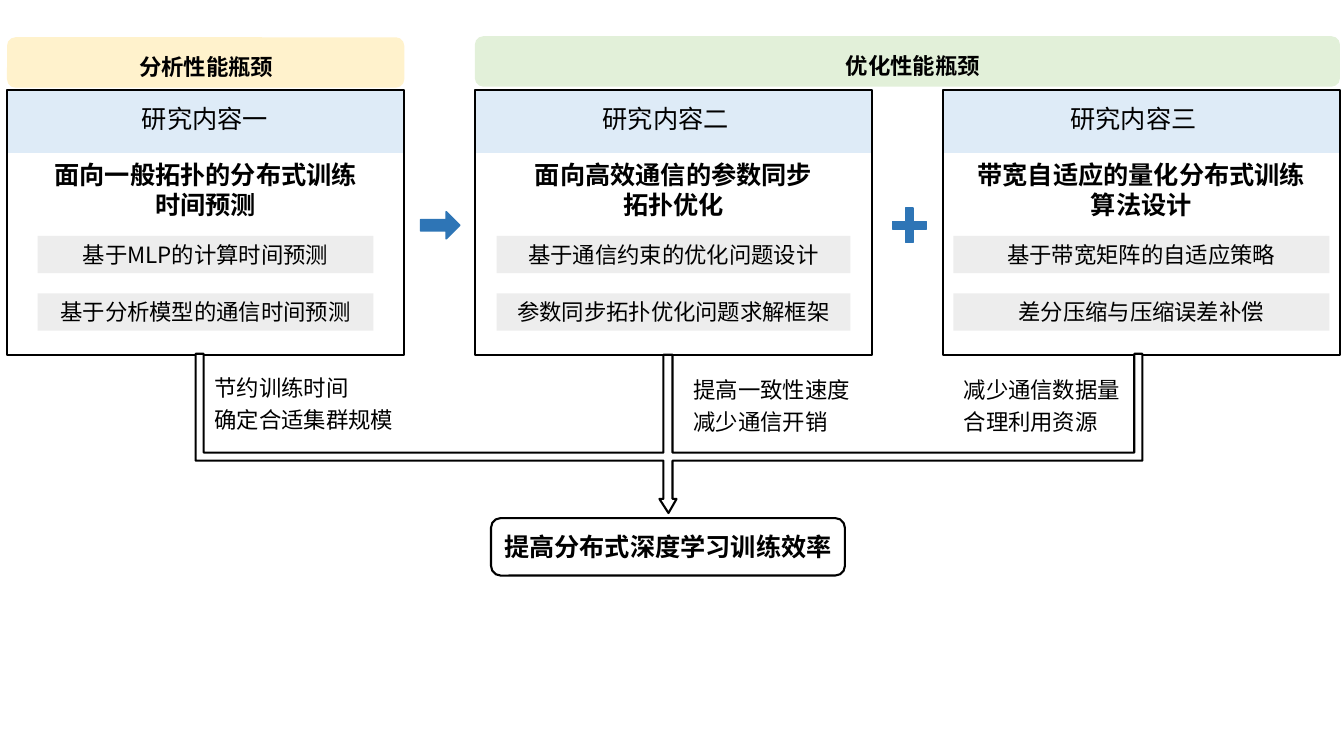
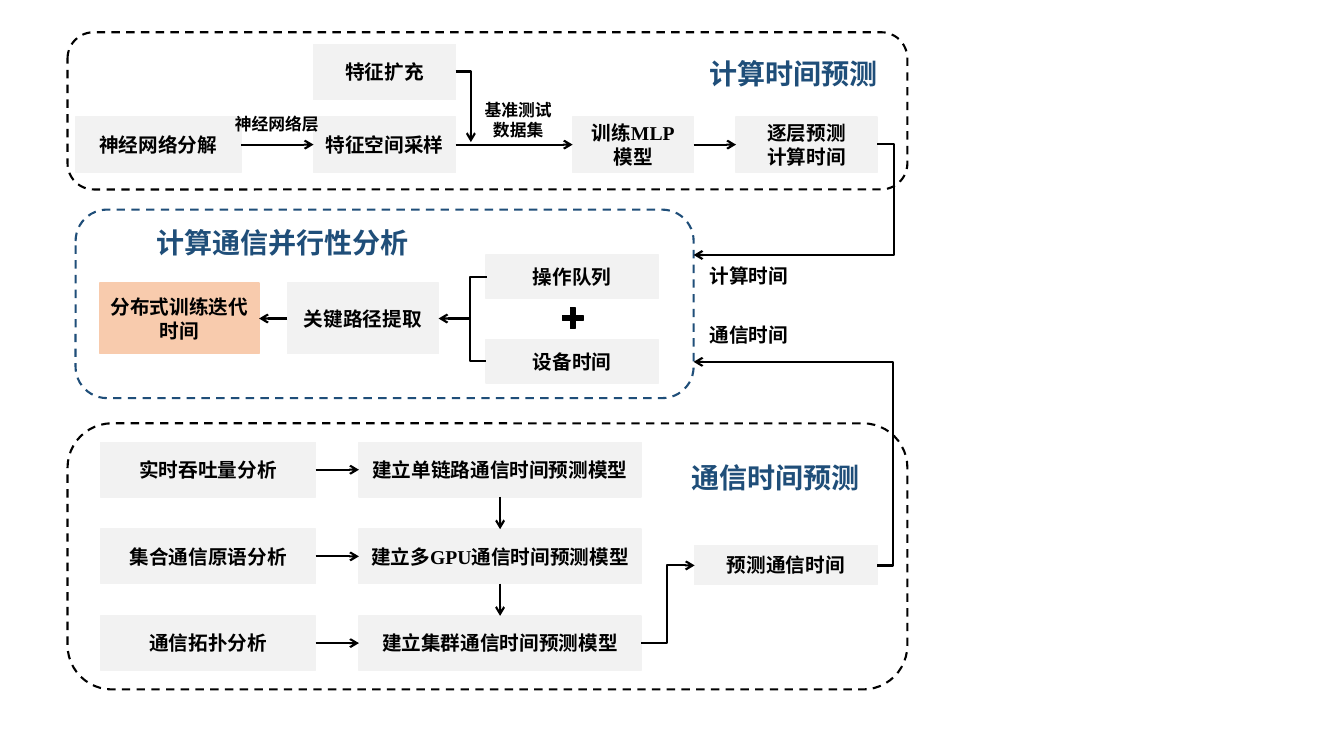
from lxml import etree
from pptx import Presentation
from pptx.dml.color import RGBColor
from pptx.enum.dml import MSO_LINE
from pptx.enum.shapes import MSO_CONNECTOR as CONN, MSO_SHAPE as SHAPE
from pptx.enum.text import MSO_ANCHOR as ANCHOR, MSO_AUTO_SIZE as AUTO, PP_ALIGN as ALIGN
from pptx.oxml.ns import qn
from pptx.util import Inches, Pt

SANS, SERIF = "Noto Sans CJK SC", "Times New Roman"
BLACK, WHITE, NAVY, BLUE = "000000", "FFFFFF", "1F4E79", "2E75B6"
PALE_BLUE, GREY, LIGHT, PEACH = "DEEBF7", "EDEDED", "F2F2F2", "F8CBAD"
TOP, LEFT, BOTTOM, RIGHT = range(4)


def rgb(value):
    """Turn a hex string into a colour."""
    return RGBColor.from_string(value)


def paint(sp, fill=None, line=None, width=1.5, dash=False):
    """Set fill and outline of a shape, without a shadow."""
    sp.shadow.inherit = False
    if fill:
        sp.fill.solid()
        sp.fill.fore_color.rgb = rgb(fill)
    else:
        sp.fill.background()
    if line:
        sp.line.color.rgb = rgb(line)
        sp.line.width = Pt(width)
        if dash:
            sp.line.dash_style = MSO_LINE.DASH
    else:
        sp.line.fill.background()


def write(sp, text, size, font, bold=False, color=BLACK, align=ALIGN.CENTER,
          spacing=None, anchor=ANCHOR.TOP, wrap=True):
    """Write one paragraph per line of text into a shape."""
    tf = sp.text_frame
    tf.word_wrap = wrap
    tf.vertical_anchor = anchor
    for i, line in enumerate(text.split("\n")):
        p = tf.add_paragraph() if i else tf.paragraphs[0]
        p.text = line
        p.alignment = align
        if spacing:
            p.line_spacing = spacing
        p.font.name = font
        p.font.size = Pt(size)
        p.font.bold = bold
        p.font.color.rgb = rgb(color)


def shape(s, kind, box, fill=None, line=None, width=1.5, dash=False):
    """Add a preset shape in a box of left, top, width and height."""
    sp = s.shapes.add_shape(kind, *map(Inches, box))
    paint(sp, fill, line, width, dash)
    return sp


def label(s, box, text, size, font, **style):
    """Add a text box that grows with its text."""
    sp = s.shapes.add_textbox(*map(Inches, box))
    write(sp, text, size, font, **style)
    sp.text_frame.auto_size = AUTO.SHAPE_TO_FIT_TEXT


def symbol(s, kind, box, color, *adjustments):
    """Add a small solid sign."""
    sp = shape(s, kind, box, color, color, 1)
    for i, value in enumerate(adjustments):
        sp.adjustments[i] = value


def connector(s, kind, start, end, arrow=True):
    """Add a black connector, with an arrowhead at its end if wanted."""
    c = s.shapes.add_connector(kind, *map(Inches, start + end))
    c.line.color.rgb = rgb(BLACK)
    c.line.width = Pt(1.5)
    if arrow:
        etree.SubElement(c.line._get_or_add_ln(), qn("a:tailEnd"), type="arrow")
    etree.SubElement(c._element.spPr, qn("a:effectLst"))
    return c


def link(s, a, side_a, b, side_b):
    """Join the sides of two boxes with a straight arrow."""
    c = connector(s, CONN.STRAIGHT, (0, 0), (1, 1))
    c.begin_connect(a, side_a)
    c.end_connect(b, side_b)


def elbow(s, start, end, turn=None, arrow=True):
    """Add a bent connector that turns at a given x, or has one corner."""
    c = connector(s, CONN.ELBOW, start, end, arrow)
    geom = c._element.spPr.find(qn("a:prstGeom"))
    if turn is None:
        geom.set("prst", "bentConnector2")
    else:
        ratio = (turn - start[0]) / (end[0] - start[0])
        guides = geom.find(qn("a:avLst"))
        etree.SubElement(guides, qn("a:gd"), name="adj1", fmla=f"val {round(ratio * 100000)}")


def banner(s, box, text, text_left, color):
    """Add a rounded stage heading."""
    shape(s, SHAPE.ROUNDED_RECTANGLE, box, color)
    label(s, (text_left, box[1] + 0.05, 1.55, 0.38), text, 16, SANS,
          bold=True, spacing=1.2, wrap=False)


def card(s, box, head, head_dx, title, title_w, items, item_w):
    """Add a research card with a heading strip, a title and two items."""
    x, y, w, h = box
    shape(s, SHAPE.RECTANGLE, (x, y, w, 0.62), PALE_BLUE, PALE_BLUE, 1)
    shape(s, SHAPE.RECTANGLE, box, line=BLACK)
    label(s, (x + head_dx, y + 0.09, 1.46, 0.4), head, 18, SANS, align=ALIGN.LEFT, wrap=False)
    label(s, (x + (w - title_w) / 2, y + 0.64, title_w, 0.71), title, 18, SANS, bold=True)
    for i, item in enumerate(items):
        sp = shape(s, SHAPE.RECTANGLE,
                   (x + (w - item_w) / 2, y + 1.45 + 0.57 * i, item_w, 0.37), GREY)
        write(sp, item, 16, SANS)


def merge_arrow(s):
    """Add the hollow arrow that gathers the three cards."""
    points = [(1.94, 3.51), (2.02, 3.51), (2.02, 4.49), (6.58, 4.49), (6.58, 3.52),
              (6.67, 3.52), (6.67, 4.49), (11.25, 4.49), (11.25, 3.51), (11.33, 3.51),
              (11.33, 4.57), (6.67, 4.57), (6.67, 4.95), (6.71, 4.95), (6.63, 5.09),
              (6.54, 4.95), (6.58, 4.95), (6.58, 4.57), (1.94, 4.57)]
    points = [(Inches(x), Inches(y)) for x, y in points]
    builder = s.shapes.build_freeform(*points[0])
    builder.add_line_segments(points[1:], close=True)
    paint(builder.convert_to_shape(), WHITE, BLACK)


def overview_slide(prs):
    """Build the slide with the three research topics."""
    s = prs.slides.add_slide(prs.slide_layouts[6])
    banner(s, (0.07, 0.37, 3.94, 0.5), "分析性能瓶颈", 1.27, "FFF2CC")
    banner(s, (4.71, 0.36, 8.58, 0.5), "优化性能瓶颈", 8.28, "E2F0D9")
    cards = [
        ("研究内容一", 1.24, "面向一般拓扑的分布式训练时间预测", 3.33,
         ("基于MLP的计算时间预测", "基于分析模型的通信时间预测"), 3.33),
        ("研究内容二", 1.17, "面向高效通信的参数同步拓扑优化", 3.17,
         ("基于通信约束的优化问题设计", "参数同步拓扑优化问题求解框架"), 3.51),
        ("研究内容三", 1.17, "带宽自适应的量化分布式训练\n算法设计", 3.94,
         ("基于带宽矩阵的自适应策略", "差分压缩与压缩误差补偿"), 3.73),
    ]
    for i, content in enumerate(cards):
        card(s, (0.07 + 4.64 * i, 0.89, 3.94, 2.63), *content)
    symbol(s, SHAPE.RIGHT_ARROW, (4.17, 2.1, 0.39, 0.27), BLUE, 0.42, 0.5)
    symbol(s, SHAPE.MATH_PLUS, (8.79, 2, 0.46, 0.47), BLUE, 0.16)
    merge_arrow(s)
    for x, y, w, text in [(2.03, 3.61, 2, "节约训练时间\n确定合适集群规模"),
                          (6.78, 3.63, 1.77, "提高一致性速度\n减少通信开销"),
                          (9.46, 3.63, 1.77, "减少通信数据量\n合理利用资源")]:
        label(s, (x, y, w, 0.7), text, 16, SANS, align=ALIGN.LEFT, spacing=1.2, wrap=False)
    goal = shape(s, SHAPE.ROUNDED_RECTANGLE, (4.87, 5.14, 3.51, 0.57), line=BLACK)
    write(goal, "提高分布式深度学习训练效率", 18, SANS, bold=True, anchor=ANCHOR.MIDDLE, wrap=False)


def panel(s, box, title, title_box, color=BLACK):
    """Add a dashed panel with its title."""
    shape(s, SHAPE.ROUNDED_RECTANGLE, box, line=color, dash=True)
    label(s, title_box, title, 20, SERIF, bold=True, color=NAVY)


def step(s, box, text, color=LIGHT):
    """Add a filled process box."""
    sp = shape(s, SHAPE.RECTANGLE, box, color, color, 1)
    write(sp, text, 14, SERIF, bold=True, anchor=ANCHOR.MIDDLE)
    return sp


def compute_panel(s, x, y):
    """Add the panel that predicts computing time."""
    panel(s, (x, y, 8.33, 1.56), "计算时间预测", (x + 6.07, y + 0.19, 2.26, 0.44))
    row = [(0.08, 1.64, "神经网络分解"), (2.44, 1.41, "特征空间采样"),
           (5.01, 1.2, "训练MLP模型"), (6.63, 1.4, "逐层预测\n计算时间")]
    steps = [step(s, (x + dx, y + 0.84, w, 0.55), text) for dx, w, text in row]
    for a, b in zip(steps, steps[1:]):
        link(s, a, RIGHT, b, LEFT)
    step(s, (x + 2.44, y + 0.12, 1.41, 0.55), "特征扩充")
    elbow(s, (x + 3.85, y + 0.39), (x + 4, y + 1.09))
    label(s, (x + 1.53, y + 0.76, 1.09, 0.3), "神经网络层", 12, SERIF, bold=True)
    label(s, (x + 3.99, y + 0.62, 0.96, 0.5), "基准测试数据集", 12, SERIF, bold=True)


def parallel_panel(s, x, y):
    """Add the panel that analyses parallelism."""
    panel(s, (x, y, 6.13, 1.87), "计算通信并行性分析", (x - 0.06, y + 0.11, 4.23, 0.44), NAVY)
    result = step(s, (x + 0.24, y + 0.73, 1.58, 0.7), "分布式训练迭代时间", PEACH)
    key_path = step(s, (x + 2.1, y + 0.73, 1.5, 0.7), "关键路径提取")
    link(s, key_path, LEFT, result, RIGHT)
    for dy, text in [(0.45, "操作队列"), (1.29, "设备时间")]:
        step(s, (x + 4.07, y + dy, 1.71, 0.43), text)
    symbol(s, SHAPE.MATH_PLUS, (x + 4.79, y + 0.93, 0.28, 0.29), BLACK, 0.16)
    elbow(s, (x + 4.08, y + 0.67), (x + 4.07, y + 1.5), x + 3.91, arrow=False)
    c = connector(s, CONN.STRAIGHT, (x + 3.9, y + 1.08), (x + 3.6, y + 1.08))
    c.end_connect(key_path, RIGHT)


def traffic_panel(s, x, y):
    """Add the panel that predicts communication time."""
    panel(s, (x, y, 8.33, 2.64), "通信时间预测", (x + 5.76, y + 0.32, 2.53, 0.44))
    rows = [("实时吞吐量分析", "建立单链路通信时间预测模型"),
            ("集合通信原语分析", "建立多GPU通信时间预测模型"),
            ("通信拓扑分析", "建立集群通信时间预测模型")]
    models = []
    for i, (analysis, model) in enumerate(rows):
        top = y + 0.19 + 0.86 * i
        source = step(s, (x + 0.33, top, 2.13, 0.54), analysis)
        models.append(step(s, (x + 2.89, top, 2.8, 0.54), model))
        link(s, source, RIGHT, models[i], LEFT)
    for a, b in zip(models, models[1:]):
        link(s, a, BOTTOM, b, TOP)
    step(s, (x + 6.22, y + 1.21, 1.81, 0.39), "预测通信时间")
    elbow(s, (x + 5.69, y + 2.18), (x + 6.22, y + 1.41), x + 5.95)


def method_slide(prs):
    """Build the slide with the prediction workflow."""
    s = prs.slides.add_slide(prs.slide_layouts[6])
    compute_panel(s, 0.67, 0.32)
    parallel_panel(s, 0.75, 2.08)
    traffic_panel(s, 0.67, 4.2)
    elbow(s, (8.7, 1.43), (6.88, 2.53), 8.87)
    elbow(s, (8.7, 5.61), (6.88, 3.59), 8.86)
    for y, text in [(2.57, "计算时间"), (3.15, "通信时间")]:
        label(s, (6.94, y, 0.99, 0.34), text, 14, SERIF, bold=True, align=ALIGN.LEFT, wrap=False)


def main():
    """Build and save the presentation."""
    prs = Presentation()
    prs.slide_width, prs.slide_height = Inches(13.33), Inches(7.5)
    overview_slide(prs)
    method_slide(prs)
    prs.save("out.pptx")


if __name__ == "__main__":
    main()
